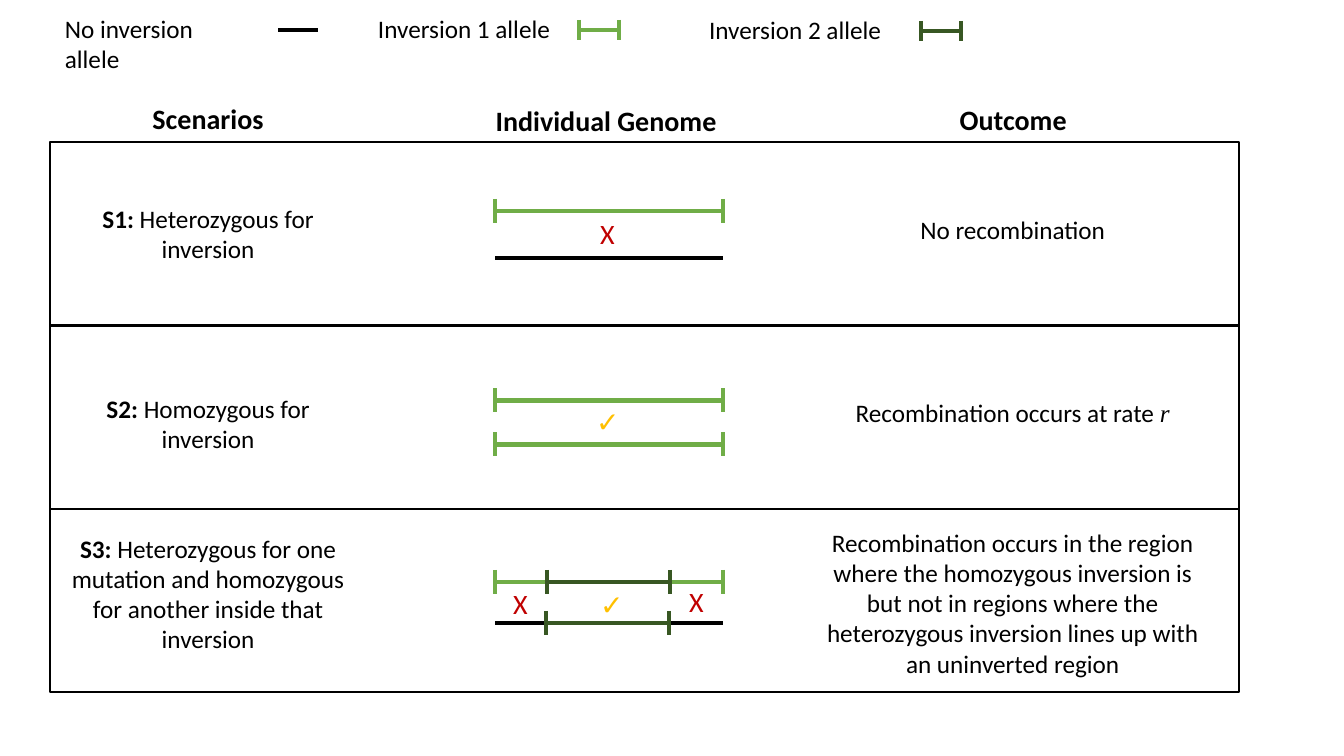
from lxml import etree
from pptx import Presentation, util as u
from pptx.dml.color import RGBColor
from pptx.enum import shapes as es, text as et
from pptx.oxml.ns import qn

SCALE = u.Inches(1) / 100.8
BLACK, LIGHT, DARK = "000000", "70AD47", "385723"
RED, GOLD = "C00000", "FFC000"
CROSS, CHECK = ("X", RED), ("✓", GOLD)


def px(n):
    return u.Emu(round(n * SCALE))


def rgb(code):
    return RGBColor.from_string(code)


def write(slide, box, runs, size=18, color=BLACK, align="LEFT"):
    """Each run is (text, style): b is bold, i is an italic symbol."""
    frame = slide.shapes.add_textbox(*map(px, box)).text_frame
    frame.word_wrap = True
    frame.auto_size = et.MSO_AUTO_SIZE.SHAPE_TO_FIT_TEXT
    para = frame.paragraphs[0]
    para.alignment = et.PP_ALIGN[align]
    for words, style in runs:
        run = para.add_run()
        run.text = words
        font = run.font
        font.name = "Times New Roman" if style == "i" else "Calibri"
        font.size = u.Pt(size)
        font.bold, font.italic = style == "b", style == "i"
        font.color.rgb = rgb(color)


def line(shapes, x1, y1, x2, y2, color):
    part = shapes.add_connector(es.MSO_CONNECTOR.STRAIGHT,
                                *map(px, (x1, y1, x2, y2)))
    part.line.color.rgb = rgb(color)
    part.line.width = u.Pt(3)
    etree.SubElement(part._element.spPr, qn("a:effectLst"))


def allele(slide, x, y, width, color, cap=12):
    """A plain line, or a grouped bar with an end cap on both sides."""
    if not cap:
        line(slide.shapes, x, y, x + width, y, color)
        return
    group = slide.shapes.add_group_shape().shapes
    line(group, x, y, x + width, y, color)
    for end in (x, x + width):
        line(group, end, y - cap, end, y + cap, color)


def legend(slide, left, top, items):
    for x, y, label, start, color, cap in items:
        write(slide, (left + x, top + y, 200, 40), [(label, "")])
        allele(slide, left + start, top + y + 22, 40, color, cap)


def heads(slide, left, top, items):
    for mid, y, label in items:
        write(slide, (left + mid - 150, top + y, 300, 44), [(label, "b")],
              size=20, align="CENTER")


def row(slide, left, top, width, height, name, case, bars, marks, result):
    frame = slide.shapes.add_shape(es.MSO_SHAPE.RECTANGLE,
                                   *map(px, (left, top, width, height)))
    frame.shadow.inherit = False
    frame.fill.background()
    frame.line.color.rgb = rgb(BLACK)
    frame.line.width = u.Pt(1.5)
    # Scenario
    y, wide, words = case
    write(slide, (left + 158 - wide / 2, top + y, wide, 72),
          [(name + ": ", "b"), (words, "")], align="CENTER")
    # Genome
    for x, y, *look in bars:
        allele(slide, left + x, top + y, *look)
    for x, y, (sign, color) in marks:
        write(slide, (left + x, top + y, 50, 44), [(sign, "")],
              size=20, color=color)
    # Outcome
    y, runs = result
    write(slide, (left + 758, top + y, 409, 40), runs, align="CENTER")


ROWS = [
    ("S1", (56, 300, "Heterozygous for inversion"),
     [(445, 69, 228, LIGHT), (445, 116, 228, BLACK, 0)],
     [(540, 70, CROSS)],
     (67, [("No recombination", "")])),
    ("S2", (63, 300, "Homozygous for inversion"),
     [(445, 75, 228, LIGHT), (445, 119, 228, LIGHT)],
     [(536, 74, CHECK)],
     (67, [("Recombination occurs at rate ", ""), ("r", "i")])),
    ("S3", (19, 320, "Heterozygous for one mutation and homozygous "
                     "for another inside that inversion"),
     [(445, 73, 228, LIGHT), (497, 73, 123, DARK),
      (445, 114, 228, BLACK, 0), (496, 114, 123, DARK)],
     [(453, 73, CROSS), (540, 74, CHECK), (629, 71, CROSS)],
     (13, [("Recombination occurs in the region where the homozygous "
            "inversion is but not in regions where the heterozygous "
            "inversion lines up with an uninverted region", "")])),
]

deck = Presentation()
deck.slide_width, deck.slide_height = u.Inches(13.33), u.Inches(7.5)
slide = deck.slides.add_slide(deck.slide_layouts[6])

legend(slide, 50, 8, [
    (5, 0, "No inversion allele", 228, BLACK, 0),
    (318, 0, "Inversion 1 allele", 529, LIGHT, 10),
    (649, 1, "Inversion 2 allele", 871, DARK, 10),
])
heads(slide, 50, 97, [(158, 0, "Scenarios"), (556, 2, "Individual Genome"),
                      (963, 1, "Outcome")])
for i, parts in enumerate(ROWS):
    row(slide, 50, 142 + i * 183.5, 1189, 183.5, *parts)

deck.save("out.pptx")
